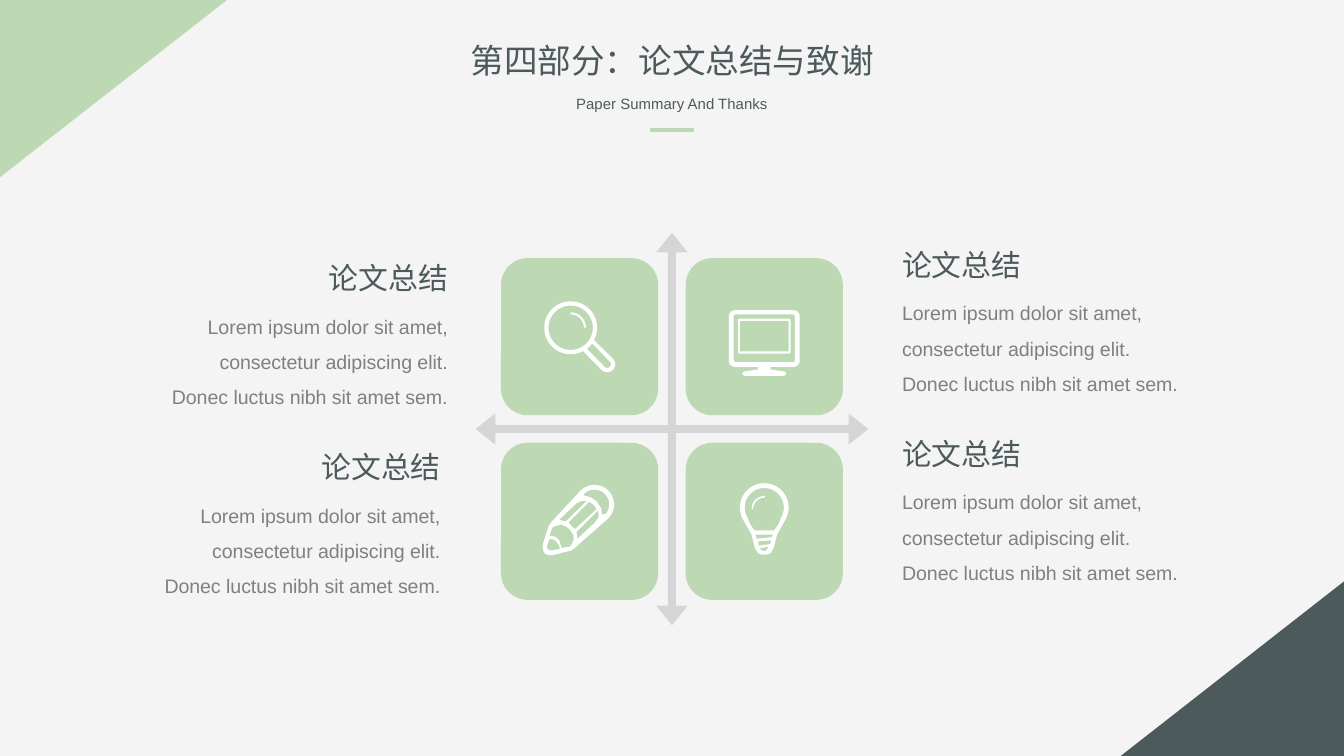
from dataclasses import dataclass
from math import cos, radians, sin

from lxml import etree
from pptx import Presentation
from pptx.dml.color import RGBColor
from pptx.enum.shapes import MSO_CONNECTOR, MSO_SHAPE
from pptx.enum.text import MSO_ANCHOR, MSO_AUTO_SIZE, PP_ALIGN
from pptx.oxml.ns import qn
from pptx.util import Cm, Pt

LEFT, CENTER, RIGHT = PP_ALIGN.LEFT, PP_ALIGN.CENTER, PP_ALIGN.RIGHT
TOP, MIDDLE = MSO_ANCHOR.TOP, MSO_ANCHOR.MIDDLE

Point = tuple[float, float]
Contour = list[Point]


@dataclass(frozen=True)
class Theme:
    background: str = "F4F4F4"
    green: str = "BCD9B4"
    slate: str = "4D5A5C"
    gray: str = "808080"
    arrow: str = "D5D5D8"
    white: str = "FFFFFF"
    latin: str = "Arial"
    chinese: str = "Noto Sans CJK SC"
    title_size: float = 18
    subtitle_size: float = 8
    heading_size: float = 16
    body_size: float = 10.5


@dataclass(frozen=True)
class Summary:
    """A heading with its paragraph; edge is the outer side of the aligned box."""
    edge: float
    top: float
    align: PP_ALIGN


THEME = Theme()
WIDTH, HEIGHT = 25.4, 14.29
CROSS_X, CROSS_Y, CROSS_SIZE = WIDTH / 2, 8.11, 7.42
TILE, TILE_PITCH = 2.97, 3.49
HEADING_WIDTH, HEADING_HEIGHT = 2.79, 0.94
BODY_WIDTH, BODY_HEIGHT, BODY_OFFSET = 5.94, 2.29, 0.82
ICON_UNIT = Cm(0.01)

HEADING = "论文总结"
BODY = ("Lorem ipsum dolor sit amet, consectetur adipiscing elit. "
        "Donec luctus nibh sit amet sem.")
SUMMARIES = [
    Summary(8.72, 4.78, RIGHT),
    Summary(8.58, 8.35, RIGHT),
    Summary(16.8, 4.53, LEFT),
    Summary(16.8, 8.1, LEFT),
]


# Contours, in icon units around the middle of a tile
def arc(x: float, y: float, radius: float, start: int, end: int) -> Contour:
    steps = max(6, abs(end - start) // 6)
    angles = [radians(start + (end - start) * i / steps) for i in range(steps + 1)]
    return [(x + radius * cos(a), y + radius * sin(a)) for a in angles]


def rounded(left: float, top: float, right: float, bottom: float, radius: float) -> Contour:
    x1, x2, y1, y2 = left + radius, right - radius, top + radius, bottom - radius
    return (arc(x1, y1, radius, 180, 270) + arc(x2, y1, radius, 270, 360)
            + arc(x2, y2, radius, 0, 90) + arc(x1, y2, radius, 90, 180))


def gleam(x: float, y: float, outer: float, inner: float, start: int) -> Contour:
    return arc(x, y, outer, start, start + 90) + arc(x, y, inner, start + 90, start)


def mirrored(right_half: Contour) -> Contour:
    return right_half + [(-x, y) for x, y in reversed(right_half)]


MAGNIFIER = [
    [arc(-17, -17, 50, 62, 388) + arc(52, 52, 15, -45, 135),
     arc(-17, -17, 42, 0, 360),
     arc(52, 52, 7, -45, 135) + [(14, 23), (24, 13)]],
    [gleam(-17, -17, 29, 25, -90)],
]
MONITOR = [
    [rounded(-50, -34, 50, 32, 4), rounded(-46, -30, 46, 28, 1)],
    [rounded(-67, -50, 67, 57, 12), rounded(-58, -42, 58, 48, 4),
     mirrored([(12, 57), (12, 62), (39, 66), (42, 70), (38, 74)])],
]
PENCIL = [
    [   # silhouette, eraser, wood, lead and three stripes
        arc(28, -32, 37, -135, 45) + [
            (-9, 50), (-16, 55), (-52, 64), (-58, 64), (-65, 61),
            (-69, 55), (-70, 45), (-59, 10), (-54, 2)],
        arc(28, -32, 28, -130, 40) + [(42, -13), (41, -24), (32, -38), (20, -46), (7, -49)],
        [(-34, 50), (-39, 35), (-46, 29), (-57, 27), (-52, 12), (-49, 10), (-35, 6),
         (-25, 10), (-19, 15), (-12, 25), (-11, 34), (-16, 45), (-19, 48)],
        [(-52, 55), (-57, 55), (-62, 50), (-62, 48), (-57, 33), (-50, 34), (-44, 38),
         (-39, 45), (-37, 52)],
        [(-26, 0), (-39, -3), (-6, -34), (2, -38), (14, -39)],
        [(-9, 15), (-14, 10), (-21, 2), (18, -37), (27, -31), (32, -23)],
        [(-4, 30), (-6, 20), (35, -21), (36, -8), (29, 2), (-4, 33)],
    ],
]
BULB = [
    [   # silhouette, glass and three bands of the socket
        arc(0, -26, 46, 150, 390) + mirrored([(24, 25), (18, 50), (12, 60), (5, 63)]),
        arc(0, -26, 37, 150, 390) + mirrored([(27, 5), (19, 17)]),
        [(-17, 25), (17, 25), (14, 30), (-14, 33)],
        [(-12, 38), (13, 36), (11, 43), (-10, 46)],
        [(-9, 51), (8, 48), (5, 54), (0, 56), (-5, 55)],
    ],
    [gleam(1, -23, 25, 22, 180)],
]
ICONS = [[MAGNIFIER, MONITOR], [PENCIL, BULB]]


def color(value: str) -> RGBColor:
    return RGBColor.from_string(value)


def paint(shape, fill: str) -> None:
    shape.shadow.inherit = False
    shape.fill.solid()
    shape.fill.fore_color.rgb = color(fill)
    shape.line.fill.background()


def add_shape(slide, kind: MSO_SHAPE, left: float, top: float, width: float,
              height: float, fill: str):
    shape = slide.shapes.add_shape(kind, Cm(left), Cm(top), Cm(width), Cm(height))
    paint(shape, fill)
    return shape


def add_corner(slide, left: float, top: float, width: float, height: float,
               rotation: int, fill: str) -> None:
    """Place a quarter-turned triangle by the area that it covers."""
    shift = (width - height) / 2
    corner = add_shape(slide, MSO_SHAPE.RIGHT_TRIANGLE, left + shift, top - shift,
                       height, width, fill)
    corner.rotation = rotation


def add_icon(slide, x: float, y: float, parts: list[list[Contour]]) -> None:
    for contours in parts:
        scaled = [[(px * ICON_UNIT, py * ICON_UNIT) for px, py in c] for c in contours]
        builder = slide.shapes.build_freeform(*scaled[0][0], scale=1.0)
        for index, contour in enumerate(scaled):
            if index:
                builder.move_to(*contour[0])
            builder.add_line_segments(contour[1:], close=True)
        paint(builder.convert_to_shape(Cm(x), Cm(y)), THEME.white)


def write(box, text: str, *, size: float, font: str, fill: str, align: PP_ALIGN,
          anchor: MSO_ANCHOR = MIDDLE, wrap: bool = False, spacing: float = 1.0) -> None:
    frame = box.text_frame
    frame.auto_size = MSO_AUTO_SIZE.NONE
    frame.word_wrap = wrap
    frame.vertical_anchor = anchor
    if anchor == MIDDLE:
        frame.margin_top = frame.margin_bottom = 0
    paragraph = frame.paragraphs[0]
    paragraph.alignment = align
    paragraph.line_spacing = spacing
    run = paragraph.add_run()
    run.text = text
    run.font.size = Pt(size)
    run.font.color.rgb = color(fill)
    run.font.name = font
    etree.SubElement(run.font._element, qn("a:ea"), typeface=font)


def add_text(slide, left: float, top: float, width: float, height: float,
             text: str, **style) -> None:
    box = slide.shapes.add_textbox(Cm(left), Cm(top), Cm(width), Cm(height))
    write(box, text, **style)


def add_summary(slide, item: Summary) -> None:
    def left(width: float) -> float:
        return item.edge - width if item.align == RIGHT else item.edge

    add_text(slide, left(BODY_WIDTH), item.top + BODY_OFFSET, BODY_WIDTH, BODY_HEIGHT, BODY,
             size=THEME.body_size, font=THEME.latin, fill=THEME.gray, align=item.align,
             anchor=TOP, wrap=True, spacing=1.5)
    add_text(slide, left(HEADING_WIDTH), item.top, HEADING_WIDTH, HEADING_HEIGHT, HEADING,
             size=THEME.heading_size, font=THEME.chinese, fill=THEME.slate, align=item.align)


def add_header(slide) -> None:
    title = slide.shapes.title
    title.left, title.top, title.width, title.height = Cm(8.6), Cm(0.63), Cm(8.2), Cm(1.02)
    write(title, "第四部分：论文总结与致谢", size=THEME.title_size, font=THEME.chinese,
          fill=THEME.slate, align=CENTER)
    add_text(slide, 10.6, 1.65, 4.2, 0.61, "Paper Summary And Thanks",
             size=THEME.subtitle_size, font=THEME.latin, fill=THEME.slate, align=CENTER)
    rule = slide.shapes.add_connector(MSO_CONNECTOR.STRAIGHT, Cm(12.28), Cm(2.46),
                                      Cm(13.12), Cm(2.46))
    rule.line.color.rgb = color(THEME.green)
    rule.line.width = Pt(2.25)
    etree.SubElement(rule._element.spPr, qn("a:effectLst"))


def add_matrix(slide) -> None:
    # Four-way arrow
    arrow = add_shape(slide, MSO_SHAPE.QUAD_ARROW, CROSS_X - CROSS_SIZE / 2,
                      CROSS_Y - CROSS_SIZE / 2, CROSS_SIZE, CROSS_SIZE, THEME.arrow)
    for index, value in enumerate((0.02, 0.04, 0.05)):
        arrow.adjustments[index] = value
    # Tiles with their icons
    for row, icons in enumerate(ICONS):
        for column, icon in enumerate(icons):
            x = CROSS_X + (column - 0.5) * TILE_PITCH
            y = CROSS_Y + (row - 0.5) * TILE_PITCH
            tile = add_shape(slide, MSO_SHAPE.ROUNDED_RECTANGLE, x - TILE / 2, y - TILE / 2,
                             TILE, TILE, THEME.green)
            tile.adjustments[0] = 0.17
            add_icon(slide, x, y, icon)


def main() -> None:
    deck = Presentation()
    deck.slide_width, deck.slide_height = Cm(WIDTH), Cm(HEIGHT)
    slide = deck.slides.add_slide(deck.slide_layouts[5])
    slide.background.fill.solid()
    slide.background.fill.fore_color.rgb = color(THEME.background)
    # Corner triangles
    add_corner(slide, 0, 0, 4.29, 3.35, 90, THEME.green)
    add_corner(slide, WIDTH - 4.22, HEIGHT - 3.3, 4.22, 3.3, 270, THEME.slate)
    add_header(slide)
    add_matrix(slide)
    for item in SUMMARIES:
        add_summary(slide, item)
    deck.save("out.pptx")


if __name__ == "__main__":
    main()
